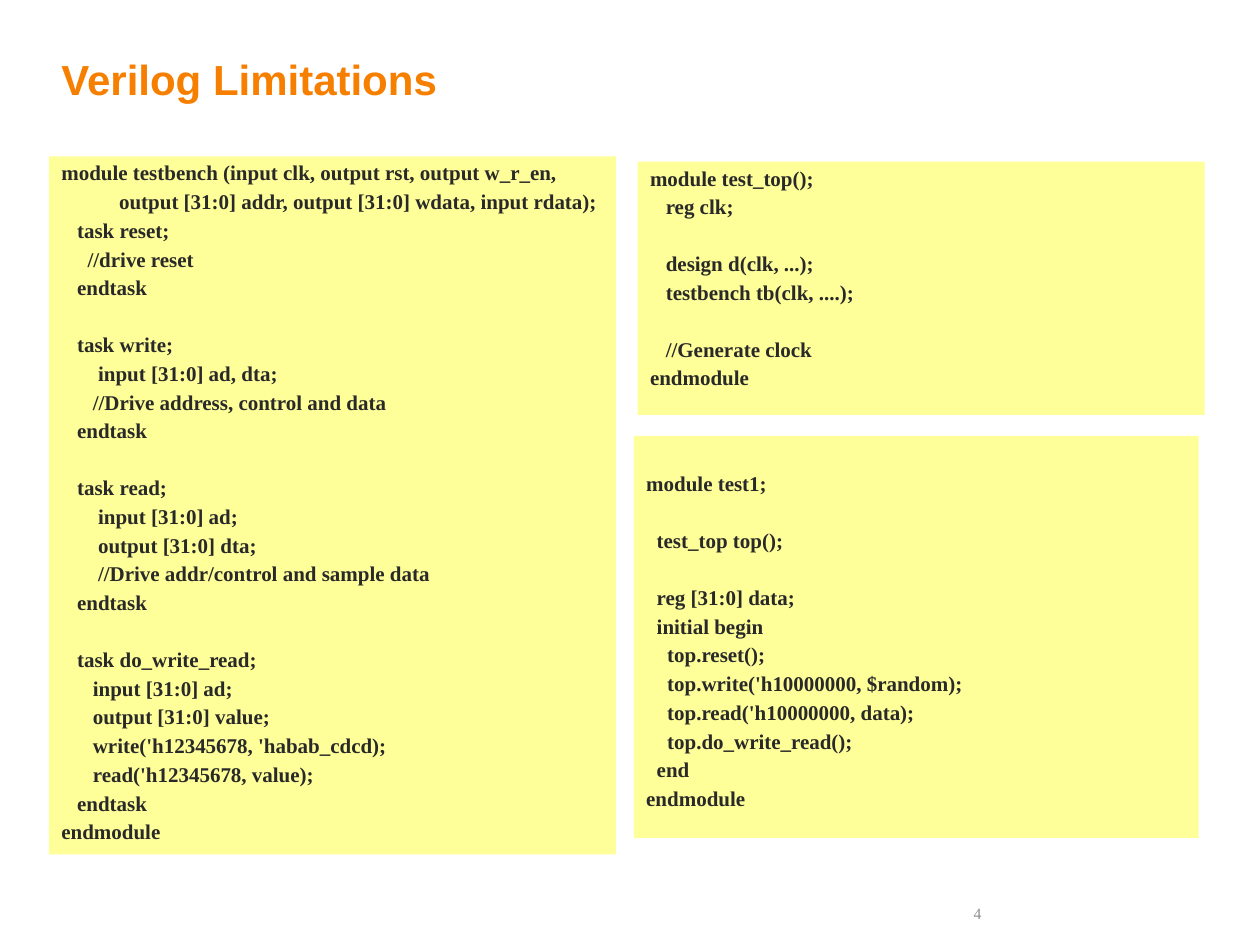
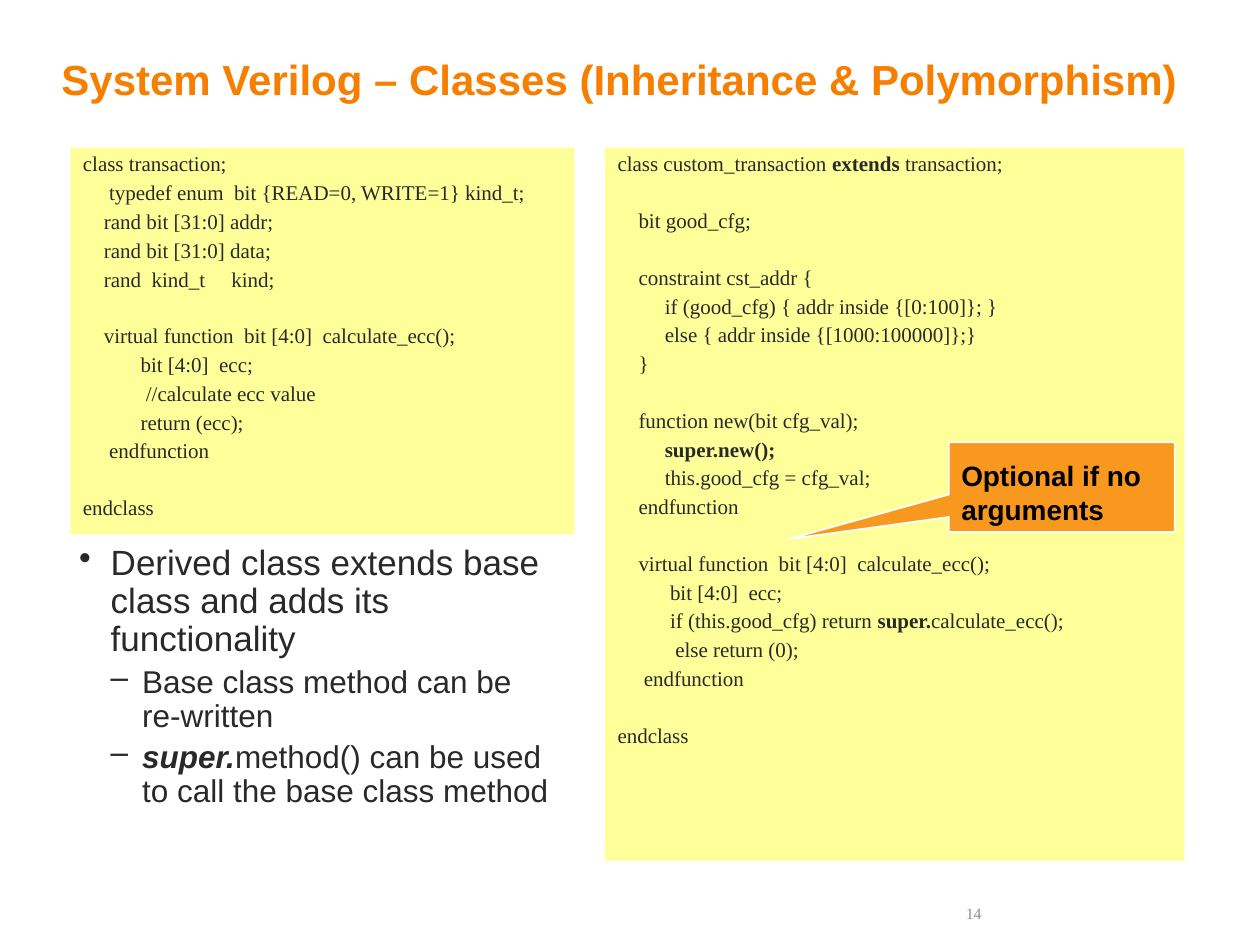
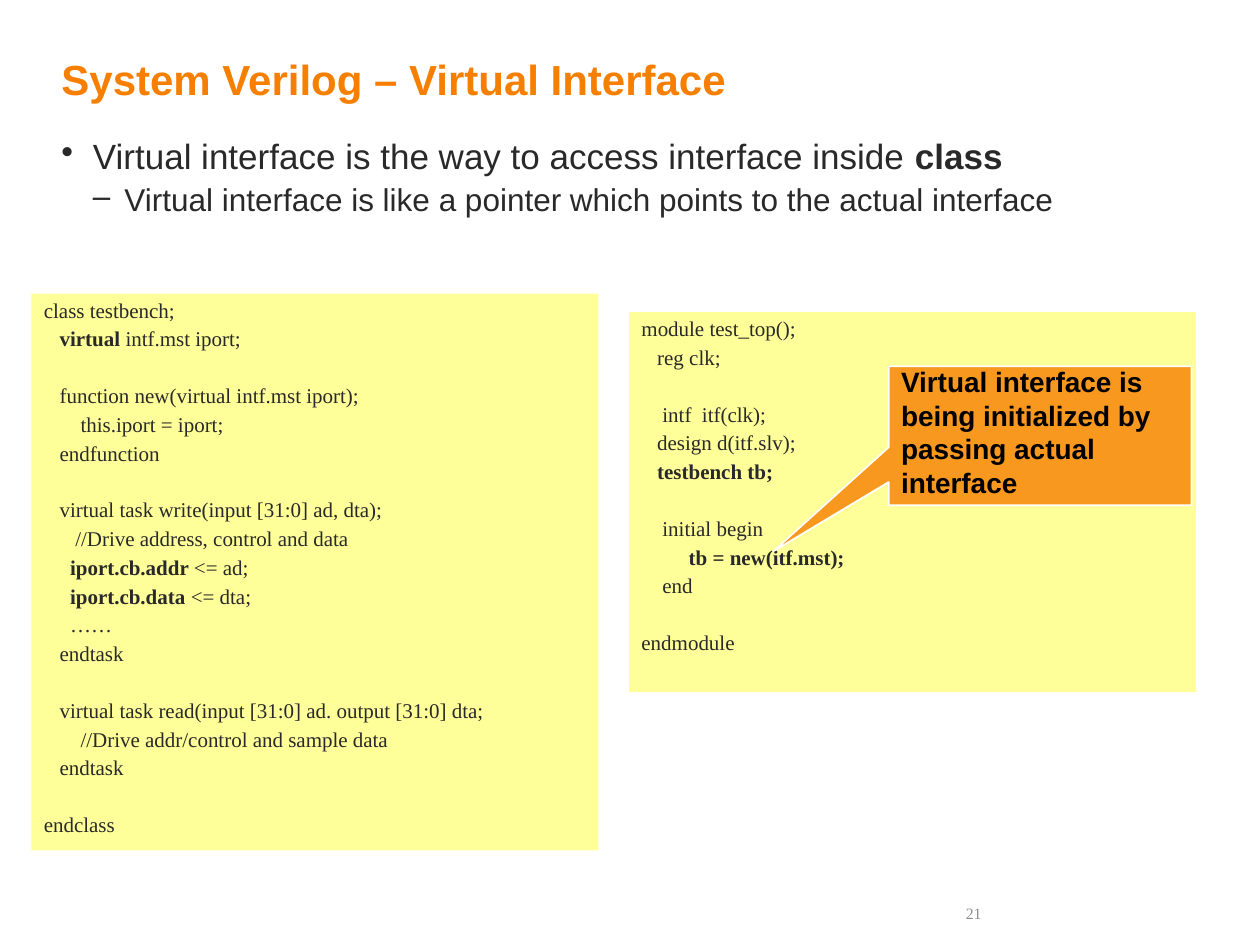
from dataclasses import dataclass

from lxml.etree import SubElement
from pptx import Presentation
from pptx.dml.color import RGBColor
from pptx.enum.shapes import MSO_SHAPE
from pptx.enum.text import MSO_ANCHOR, PP_ALIGN
from pptx.oxml.ns import qn
from pptx.util import Pt


@dataclass(frozen=True)
class Theme:
    orange: RGBColor = RGBColor(0xF7, 0x7F, 0x00)
    yellow: RGBColor = RGBColor(0xFF, 0xFF, 0x99)
    ink: RGBColor = RGBColor(0x29, 0x29, 0x29)
    gray: RGBColor = RGBColor(0x8C, 0x8E, 0x8E)
    black: RGBColor = RGBColor(0, 0, 0)
    white: RGBColor = RGBColor(0xFF, 0xFF, 0xFF)
    sans: str = "Arial"
    serif: str = "Times New Roman"
    title_size: float = 24
    bullet_sizes: tuple = (20, 18)
    bullet_gaps: tuple = (5, 4)
    bullet_marks: tuple = ("•", "–")
    bullet_indent: float = 18
    callout_size: float = 16
    code_size: float = 12
    code_gap: float = 3.5
    code_pitch: float = 15.95
    code_space: float = 3
    code_first_blank: float = 18
    number_size: float = 9
    line_spacing: float = 0.9
    inset: float = 3.6
    title_inset: float = 5.6
    callout_opacity: int = 80


class Deck:
    def __init__(self, theme):
        self.theme = theme
        self.presentation = Presentation()
        self.presentation.slide_width = Pt(720)
        self.presentation.slide_height = Pt(540)
        self.slide = None

    def start_slide(self, title, number):
        theme = self.theme
        self.slide = self.presentation.slides.add_slide(self.presentation.slide_layouts[6])
        heading = self.text_frame((28, 25.2, 656.6, 62.6))
        heading.margin_top = Pt(theme.title_inset)
        self.set_text(heading.paragraphs[0], title, theme.sans, theme.title_size, theme.orange, True)
        footer = self.text_frame((505.4, 512.6, 62.6, 18))
        self.set_text(footer.paragraphs[0], str(number), theme.serif, theme.number_size, theme.gray)
        footer.paragraphs[0].alignment = PP_ALIGN.RIGHT

    def text_frame(self, box):
        frame = self.slide.shapes.add_textbox(*map(Pt, box)).text_frame
        frame.word_wrap = True
        return frame

    def filled_shape(self, preset, box, color):
        shape = self.slide.shapes.add_shape(preset, *map(Pt, box))
        shape.shadow.inherit = False
        shape.fill.solid()
        shape.fill.fore_color.rgb = color
        shape.text_frame.word_wrap = True
        return shape

    def set_text(self, paragraph, text, font_name, size, color, bold=False):
        paragraph.alignment = PP_ALIGN.LEFT
        paragraph.font.name = font_name
        paragraph.font.size = Pt(size)
        paragraph.font.color.rgb = color
        paragraph.font.bold = bold
        for index, part in enumerate(text.split("**")):
            if not part:
                continue
            run = paragraph.add_run()
            run.text = part.removeprefix("_") if index % 2 else part
            if index % 2:
                run.font.bold = True
                if part.startswith("_"):
                    run.font.italic = True

    def code(self, box, listing, bold=False):
        theme = self.theme
        panel = self.filled_shape(MSO_SHAPE.RECTANGLE, box, theme.yellow)
        panel.line.fill.background()
        frame = panel.text_frame
        frame.vertical_anchor = MSO_ANCHOR.TOP
        paragraph = None
        blanks = 0
        for line in listing.split("\n"):
            statement = line.lstrip()
            if not statement:
                blanks += 1
                continue
            if paragraph is None:
                paragraph = frame.paragraphs[0]
                frame.margin_top = Pt(theme.inset + blanks * theme.code_first_blank)
            else:
                paragraph = frame.add_paragraph()
                paragraph.space_before = Pt(theme.code_gap + blanks * theme.code_pitch)
            blanks = 0
            paragraph.line_spacing = theme.line_spacing
            self.set_text(paragraph, statement, theme.serif, theme.code_size, theme.ink, bold)
            depth = len(line) - len(statement)
            paragraph._p.get_or_add_pPr().set("marL", str(Pt(depth * theme.code_space)))

    def bullets(self, box, items):
        theme = self.theme
        frame = self.text_frame(box)
        for index, (level, text) in enumerate(items):
            paragraph = frame.add_paragraph() if index else frame.paragraphs[0]
            paragraph.level = level
            paragraph.line_spacing = theme.line_spacing
            paragraph.space_before = Pt(theme.bullet_gaps[level])
            properties = paragraph._p.get_or_add_pPr()
            properties.set("marL", str(Pt(theme.bullet_indent * (level + 1))))
            properties.set("indent", str(-Pt(theme.bullet_indent)))
            SubElement(properties, qn("a:buChar")).set("char", theme.bullet_marks[level])
            self.set_text(paragraph, text, theme.sans, theme.bullet_sizes[level], theme.ink)

    def callout(self, box, text, pointer):
        theme = self.theme
        bubble = self.filled_shape(MSO_SHAPE.RECTANGULAR_CALLOUT, box, theme.orange)
        bubble.adjustments[0], bubble.adjustments[1] = pointer
        bubble.line.color.rgb = theme.white
        bubble.line.width = Pt(1)
        fill_color = bubble._element.spPr.find(qn("a:solidFill"))[0]
        SubElement(fill_color, qn("a:alpha")).set("val", str(theme.callout_opacity * 1000))
        frame = bubble.text_frame
        frame.vertical_anchor = MSO_ANCHOR.BOTTOM
        self.set_text(frame.paragraphs[0], text, theme.sans, theme.callout_size, theme.black, True)


TASK_TESTBENCH = """module testbench (input clk, output rst, output w_r_en,
           output [31:0] addr, output [31:0] wdata, input rdata);
   task reset;
     //drive reset
   endtask

   task write;
       input [31:0] ad, dta;
      //Drive address, control and data
   endtask

   task read;
       input [31:0] ad;
       output [31:0] dta;
       //Drive addr/control and sample data
   endtask

   task do_write_read;
      input [31:0] ad;
      output [31:0] value;
      write('h12345678, 'habab_cdcd);
      read('h12345678, value);
   endtask
endmodule"""

TASK_TOP = """module test_top();
   reg clk;

   design d(clk, ...);
   testbench tb(clk, ....);

   //Generate clock
endmodule"""

TASK_TEST = """
module test1;

  test_top top();

  reg [31:0] data;
  initial begin
    top.reset();
    top.write('h10000000, $random);
    top.read('h10000000, data);
    top.do_write_read();
  end
endmodule"""

BASE_CLASS = """class transaction;
     typedef enum  bit {READ=0, WRITE=1} kind_t;
    rand bit [31:0] addr;
    rand bit [31:0] data;
    rand  kind_t     kind;

    virtual function  bit [4:0]  calculate_ecc();
           bit [4:0]  ecc;
            //calculate ecc value
           return (ecc);
     endfunction

endclass"""

DERIVED_CLASS = """class custom_transaction **extends** transaction;

    bit good_cfg;

    constraint cst_addr {
         if (good_cfg) { addr inside {[0:100]}; }
         else { addr inside {[1000:100000]};}
    }

    function new(bit cfg_val);
         **super.new();**
         this.good_cfg = cfg_val;
    endfunction

    virtual function  bit [4:0]  calculate_ecc();
          bit [4:0]  ecc;
          if (this.good_cfg) return **super.**calculate_ecc();
           else return (0);
     endfunction

endclass"""

CLASS_TESTBENCH = """class testbench;
   **virtual **intf.mst iport;

   function new(virtual intf.mst iport);
       this.iport = iport;
   endfunction

   virtual task write(input [31:0] ad, dta);
      //Drive address, control and data
     **iport.cb.addr **<= ad;
     **iport.cb.data **<= dta;
     ……
   endtask

   virtual task read(input [31:0] ad. output [31:0] dta;
       //Drive addr/control and sample data
   endtask

endclass"""

INTERFACE_TOP = """module test_top();
   reg clk;

    intf  itf(clk);
   design d(itf.slv);
   **testbench tb;**

    initial begin
         **tb = new(itf.mst);**
    end

endmodule"""


def main():
    deck = Deck(Theme())

    deck.start_slide("Verilog Limitations", 4)
    deck.code((28, 89.4, 324, 398.9), TASK_TESTBENCH, bold=True)
    deck.code((364.4, 92.4, 324, 144.7), TASK_TOP, bold=True)
    deck.code((362.2, 249.1, 322.8, 229.7), TASK_TEST, bold=True)

    deck.start_slide("System Verilog – Classes (Inheritance & Polymorphism)", 14)
    deck.code((40.3, 84.4, 288, 221), BASE_CLASS)
    deck.code((345.8, 84.4, 331, 407.5), DERIVED_CLASS)
    deck.bullets((38.2, 308.2, 283.7, 205.2), [
        (0, "Derived class extends base class and adds its functionality"),
        (1, "Base class method can be re-written"),
        (1, "**_super.**method() can be used to call the base class method"),
    ])
    deck.callout((542.2, 252.7, 129, 51.3), "Optional if no arguments", (-1.21, 0.58))

    deck.start_slide("System Verilog – Virtual Interface", 21)
    deck.code((18, 167.8, 324, 318.2), CLASS_TESTBENCH)
    deck.code((359.5, 178.4, 324, 217.2), INTERFACE_TOP)
    deck.callout((507.8, 209.3, 173, 79.4),
                 "Virtual interface is being initialized by passing actual interface",
                 (-0.88, 0.83))
    deck.bullets((28, 76.3, 656.6, 62.6), [
        (0, "Virtual interface is the way to access interface inside **class**"),
        (1, "Virtual interface is like a pointer which points to the actual interface"),
    ])

    deck.presentation.save("out.pptx")


if __name__ == "__main__":
    main()
